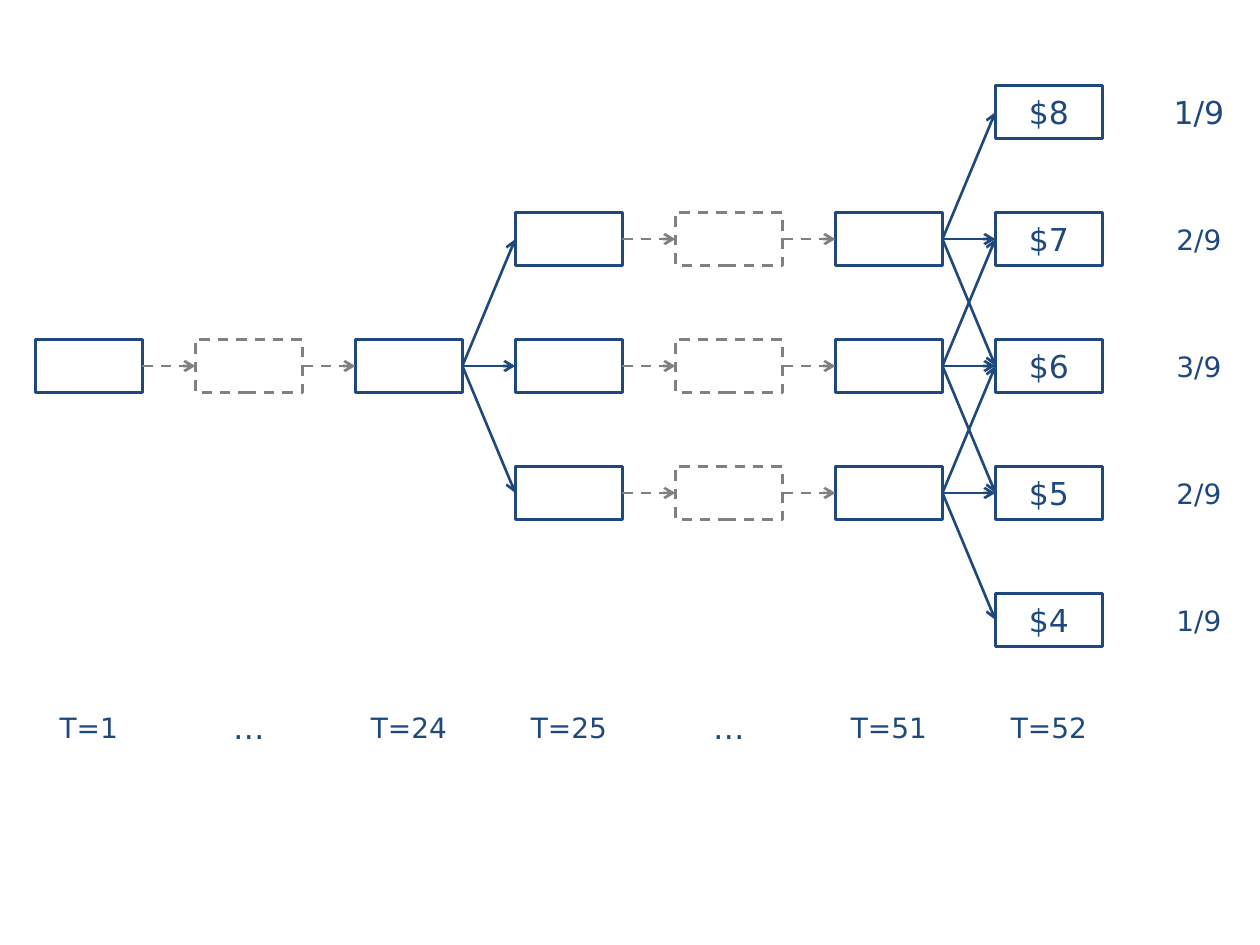
from dataclasses import dataclass

from lxml.etree import SubElement
from pptx import Presentation
from pptx.dml.color import RGBColor
from pptx.enum.dml import MSO_LINE
from pptx.enum.shapes import MSO_CONNECTOR, MSO_SHAPE
from pptx.enum.text import MSO_ANCHOR, PP_ALIGN
from pptx.oxml.ns import qn
from pptx.shapes.autoshape import Shape
from pptx.shapes.shapetree import GroupShapes
from pptx.util import Inches, Pt


@dataclass(frozen=True)
class Theme:
    font: str = "DejaVu Sans"
    solid: RGBColor = RGBColor(0x1F, 0x49, 0x7D)
    skipped: RGBColor = RGBColor(0x80, 0x80, 0x80)
    value_size: int = 18
    label_size: int = 16
    line_width: float = 1.5


@dataclass(frozen=True)
class Stage:
    label: str
    rows: tuple[int, ...]
    skipped: bool = False
    branches: bool = False


THEME = Theme()
STAGES = (
    Stage("T=1", (2,)),
    Stage("…", (2,), skipped=True),
    Stage("T=24", (2,), branches=True),
    Stage("T=25", (1, 2, 3)),
    Stage("…", (1, 2, 3), skipped=True),
    Stage("T=51", (1, 2, 3), branches=True),
    Stage("T=52", (0, 1, 2, 3, 4)),
)
PAYOFFS = ("$8", "$7", "$6", "$5", "$4")
ODDS = ("1/9", "2/9", "3/9", "2/9", "1/9")

BOX_WIDTH, BOX_HEIGHT = 0.85, 0.42
FIRST_LEFT, COLUMN_PITCH = 0.28, 1.27
FIRST_TOP, LAST_TOP = 0.68, 4.71
ROW_PITCH = (LAST_TOP - FIRST_TOP) / (len(PAYOFFS) - 1)
LABEL_TOP, ODDS_LEFT = 5.56, 9.09
RIGHT_SITE, LEFT_SITE = 3, 1


def column_left(column: int) -> float:
    return FIRST_LEFT + column * COLUMN_PITCH


def row_top(row: int) -> float:
    return FIRST_TOP + row * ROW_PITCH


def write_text(shape: Shape, text: str, *, size: int = THEME.label_size,
               color: RGBColor = THEME.solid) -> None:
    frame = shape.text_frame
    frame.word_wrap = True
    frame.vertical_anchor = MSO_ANCHOR.MIDDLE
    frame.margin_left = frame.margin_right = frame.margin_top = frame.margin_bottom = 0
    paragraph = frame.paragraphs[0]
    paragraph.alignment = PP_ALIGN.CENTER
    run = paragraph.add_run()
    run.text = text
    run.font.name = THEME.font
    run.font.size = Pt(size)
    run.font.color.rgb = color


def style_line(shape, skipped: bool) -> None:
    shape.line.color.rgb = THEME.skipped if skipped else THEME.solid
    shape.line.width = Pt(THEME.line_width)
    if skipped:
        shape.line.dash_style = MSO_LINE.DASH


def add_box(shapes: GroupShapes, left: float, top: float, skipped: bool) -> Shape:
    box = shapes.add_shape(MSO_SHAPE.RECTANGLE, Inches(left), Inches(top),
                           Inches(BOX_WIDTH), Inches(BOX_HEIGHT))
    box.shadow.inherit = False
    box.fill.background()
    style_line(box, skipped)
    return box


def add_label(shapes: GroupShapes, text: str, left: float, top: float, size: int) -> None:
    label = shapes.add_textbox(Inches(left), Inches(top),
                               Inches(BOX_WIDTH), Inches(BOX_HEIGHT))
    write_text(label, text, size=size)


def add_arrow(shapes: GroupShapes, source: Shape, target: Shape, skipped: bool) -> None:
    """Glue an arrow from the right side of one box to the left side of another."""
    arrow = shapes.add_connector(
        MSO_CONNECTOR.STRAIGHT,
        source.left + source.width, source.top + source.height // 2,
        target.left, target.top + target.height // 2)
    arrow.begin_connect(source, RIGHT_SITE)
    arrow.end_connect(target, LEFT_SITE)
    style_line(arrow, skipped)
    SubElement(arrow.line._get_or_add_ln(), qn("a:tailEnd"), type="arrow")
    SubElement(arrow._element.spPr, qn("a:effectLst"))


def add_tree(shapes: GroupShapes) -> None:
    boxes = {
        (column, row): add_box(shapes, column_left(column), row_top(row), stage.skipped)
        for column, stage in enumerate(STAGES) for row in stage.rows
    }
    for row, payoff in enumerate(PAYOFFS):
        write_text(boxes[len(STAGES) - 1, row], payoff, size=THEME.value_size)

    for (column, row), box in boxes.items():
        if column == len(STAGES) - 1:
            continue
        stage = STAGES[column]
        for step in (-1, 0, 1) if stage.branches else (0,):
            add_arrow(shapes, box, boxes[column + 1, row + step], not stage.branches)

    for column, stage in enumerate(STAGES):
        size = THEME.value_size if stage.skipped else THEME.label_size
        add_label(shapes, stage.label, column_left(column), LABEL_TOP, size)


def add_odds(shapes: GroupShapes) -> None:
    for row, odds in enumerate(ODDS):
        size = THEME.value_size if row == 0 else THEME.label_size
        add_label(shapes, odds, ODDS_LEFT, row_top(row), size)


def main() -> None:
    presentation = Presentation()
    presentation.slide_width = Inches(10)
    presentation.slide_height = Inches(7.5)
    slide = presentation.slides.add_slide(presentation.slide_layouts[6])
    add_tree(slide.shapes.add_group_shape().shapes)
    add_odds(slide.shapes.add_group_shape().shapes)
    presentation.save("out.pptx")


if __name__ == "__main__":
    main()
